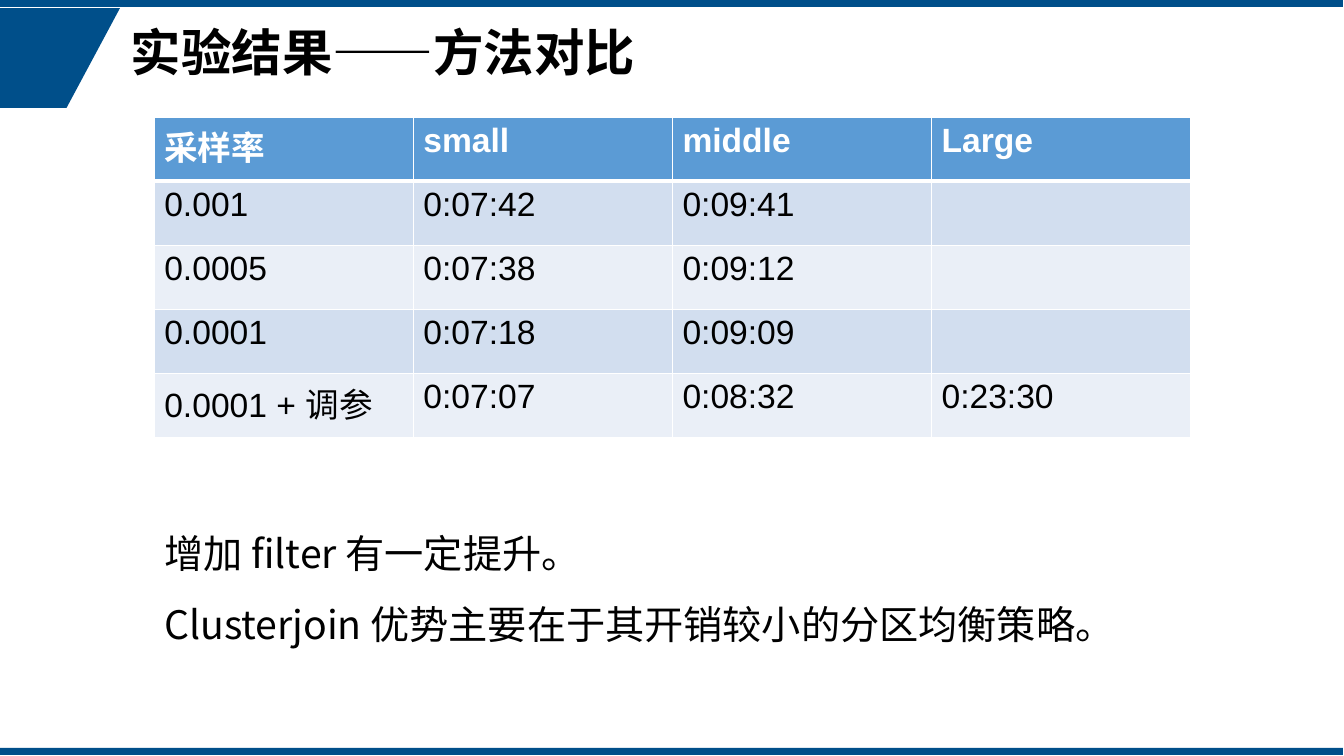
import pptx
import pptx.util
import pptx.dml.color
import pptx.enum.shapes
import pptx.enum.text
import pptx.oxml.ns
import lxml.etree

Inches = pptx.util.Inches
Pt = pptx.util.Pt
RGBColor = pptx.dml.color.RGBColor

TITLE = "实验结果——方法对比"
TIMINGS = [
    ("采样率", "small", "middle", "Large"),
    ("0.001", "0:07:42", "0:09:41", ""),
    ("0.0005", "0:07:38", "0:09:12", ""),
    ("0.0001", "0:07:18", "0:09:09", ""),
    ("0.0001 + 调参", "0:07:07", "0:08:32", "0:23:30"),
]
CONCLUSIONS = [
    "增加 filter 有一定提升。",
    "Clusterjoin 优势主要在于其开销较小的分区均衡策略。",
]
CORNER = [(0, 0.08), (1.19, 0.08), (0.66, 1.07), (0, 1.07)]
BAR_TOPS = (0, 7.42)

NAVY = RGBColor(0x00, 0x4F, 0x8A)
HEADER_BLUE = RGBColor(0x5B, 0x9B, 0xD5)
BANDS = (RGBColor(0xEA, 0xEF, 0xF7), RGBColor(0xD2, 0xDE, 0xEF))
BLACK = RGBColor(0, 0, 0)
WHITE = RGBColor(0xFF, 0xFF, 0xFF)
CHINESE_FONT = "Noto Sans CJK SC"
LATIN_FONT = "Arial"

LEFT, CONTENT_WIDTH = 1.53, 10.28
TABLE_TOP, TABLE_HEIGHT = 1.16, 3.18


def add_span(para, text, size, color, font=CHINESE_FONT, bold=False):
    span = para.add_run()
    span.text = text
    span.font.size = Pt(size)
    span.font.bold = bold
    span.font.color.rgb = color
    span.font.name = font
    east_asian = lxml.etree.SubElement(span.font._element, pptx.oxml.ns.qn("a:ea"))
    east_asian.set("typeface", CHINESE_FONT)


def add_text(page, top, height, left, width, lines, size, spacing, bold=False):
    box = page.shapes.add_textbox(Inches(left), Inches(top), Inches(width), Inches(height))
    frame = box.text_frame
    frame.word_wrap = True
    for index, line in enumerate(lines):
        para = frame.paragraphs[0] if index == 0 else frame.add_paragraph()
        para.line_spacing = spacing
        add_span(para, line, size, BLACK, bold=bold)
    return frame


def paint(shape):
    shape.shadow.inherit = False
    shape.fill.solid()
    shape.fill.fore_color.rgb = NAVY
    shape.line.fill.background()


def add_borders(cell, widths):
    properties = cell._tc.get_or_add_tcPr()
    for side, width in widths.items():
        line = lxml.etree.SubElement(properties, pptx.oxml.ns.qn("a:ln" + side), w=str(Pt(width)))
        fill = lxml.etree.SubElement(line, pptx.oxml.ns.qn("a:solidFill"))
        lxml.etree.SubElement(fill, pptx.oxml.ns.qn("a:srgbClr"), val=str(WHITE))


def add_timings(page):
    rows, columns = len(TIMINGS), len(TIMINGS[0])
    table = page.shapes.add_table(
        rows, columns, Inches(LEFT), Inches(TABLE_TOP), Inches(CONTENT_WIDTH), Inches(TABLE_HEIGHT)
    ).table
    for row, values in enumerate(TIMINGS):
        header = row == 0
        for column, value in enumerate(values):
            cell = table.cell(row, column)
            add_borders(cell, {"L": 1, "R": 1, "T": 3 if row == 1 else 1, "B": 3 if header else 1})
            cell.fill.solid()
            cell.fill.fore_color.rgb = HEADER_BLUE if header else BANDS[row % 2]
            if value:
                add_span(cell.text_frame.paragraphs[0], value, 24,
                         WHITE if header else BLACK, LATIN_FONT, header)


def main():
    deck = pptx.Presentation()
    deck.slide_width, deck.slide_height = Inches(13.33), Inches(7.5)
    page = deck.slides.add_slide(deck.slide_layouts[6])

    points = [(Inches(x), Inches(y)) for x, y in CORNER]
    outline = page.shapes.build_freeform(*points[0])
    outline.add_line_segments(points[1:], close=True)
    paint(outline.convert_to_shape())
    for top in BAR_TOPS:
        paint(page.shapes.add_shape(
            pptx.enum.shapes.MSO_SHAPE.RECTANGLE, 0, Inches(top), Inches(13.32), Inches(0.07)))

    title = add_text(page, 0.05, 0.99, 1.2, 11.21, [TITLE], 36, 0.9, bold=True)
    title.vertical_anchor = pptx.enum.text.MSO_ANCHOR.MIDDLE
    add_timings(page)
    notes = add_text(page, 4.97, 1.43, LEFT, CONTENT_WIDTH, CONCLUSIONS, 28, 1.5)
    notes.auto_size = pptx.enum.text.MSO_AUTO_SIZE.SHAPE_TO_FIT_TEXT
    deck.save("out.pptx")


if __name__ == "__main__":
    main()
